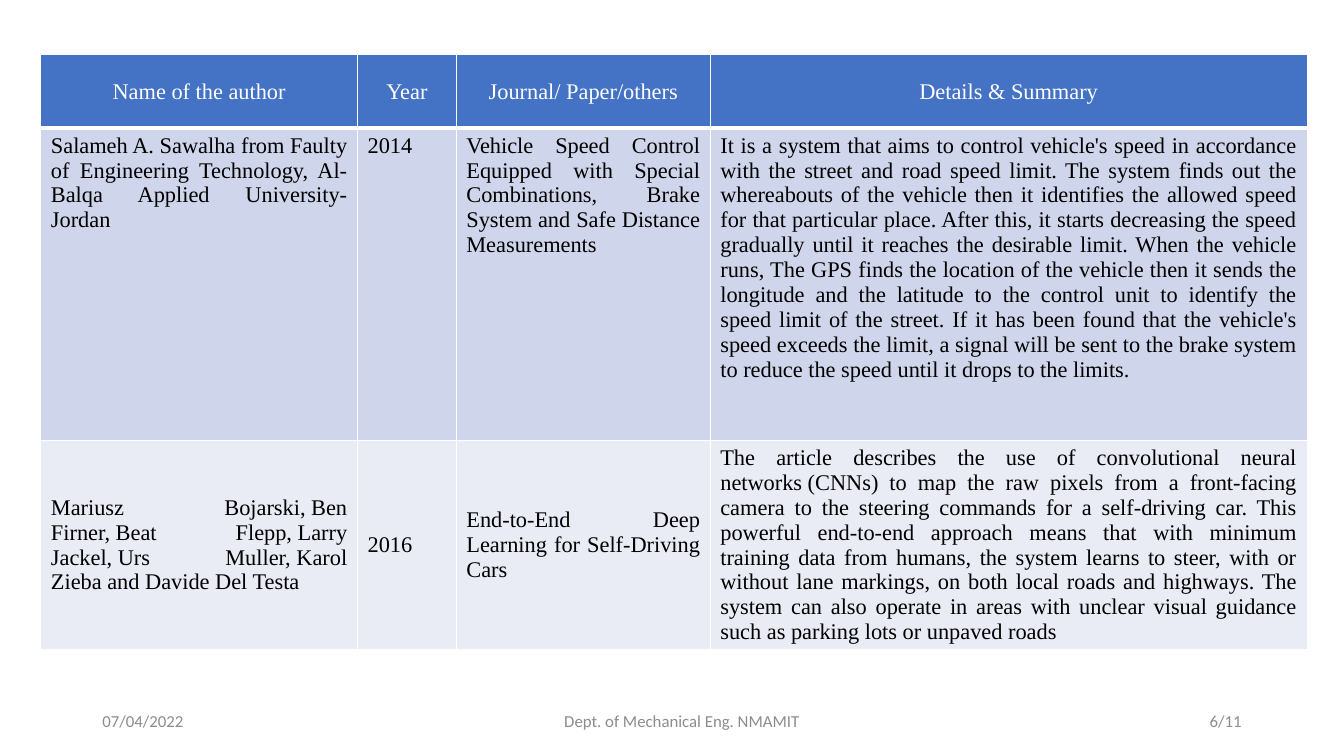
from lxml.etree import SubElement
from pptx import Presentation
from pptx.dml.color import RGBColor
from pptx.enum.text import MSO_ANCHOR, PP_ALIGN
from pptx.oxml.ns import qn
from pptx.util import Cm, Pt

COLORS = {
    "header": "4472C4",
    "band_dark": "CFD5EA",
    "band_light": "E9EBF5",
    "white": "FFFFFF",
    "body": "000000",
    "footer": "8C8C8C",
}

NBSP = chr(160)  # no-break space
COLUMN_WIDTHS = (7.98, 2.49, 6.4, 15.04)
# Height, fill, text colour, alignment, anchor, bottom border in points
ROW_STYLES = (
    (1.85, "header", "white", PP_ALIGN.CENTER, MSO_ANCHOR.MIDDLE, 3),
    (7.87, "band_dark", "body", PP_ALIGN.JUSTIFY, MSO_ANCHOR.TOP, 1),
    (4.27, "band_light", "body", PP_ALIGN.JUSTIFY, MSO_ANCHOR.MIDDLE, 1),
)
LITERATURE = (
    ("Name of the author", "Year", "Journal/ Paper/others", "Details & Summary"),
    (
        "Salameh A. Sawalha from Faulty of Engineering Technology, Al- Balqa "
        "Applied University- Jordan",
        "2014",
        "Vehicle Speed Control Equipped with Special Combinations, Brake System "
        "and Safe Distance Measurements",
        "It is a system that aims to control vehicle's speed in accordance with "
        "the street and road speed limit. The system finds out the whereabouts "
        "of the vehicle then it identifies the allowed speed for that particular "
        "place. After this, it starts decreasing the speed gradually until it "
        "reaches the desirable limit. When the vehicle runs, The GPS finds the "
        "location of the vehicle then it sends the longitude and the latitude to "
        "the control unit to identify the speed limit of the street. If it has "
        "been found that the vehicle's speed exceeds the limit, a signal will be "
        "sent to the brake system to reduce the speed until it drops to the "
        "limits. ",
    ),
    (
        NBSP.join((
            "Mariusz Bojarski,", "Ben Firner,", "Beat Flepp,", "Larry Jackel,",
            "Urs Muller,", "Karol Zieba", "and", "Davide Del Testa",
        )),
        "2016",
        "End-to-End Deep Learning for Self-Driving Cars",
        f"The article describes the use of convolutional neural networks{NBSP}(CNNs) "
        "to map the raw pixels from a front-facing camera to the steering "
        "commands for a self-driving car. This powerful end-to-end approach "
        "means that with minimum training data from humans, the system learns to "
        "steer, with or without lane markings, on both local roads and highways. "
        "The system can also operate in areas with unclear visual guidance such "
        "as parking lots or unpaved roads",
    ),
)


def rgb(name):
    return RGBColor.from_string(COLORS[name])


def write(paragraph, text, font_name, size, color, align):
    paragraph.alignment = align
    run = paragraph.add_run()
    run.text = text
    run.font.name = font_name
    run.font.size = Pt(size)
    run.font.bold = False
    run.font.color.rgb = rgb(color)


def add_borders(cell, top, bottom):
    properties = cell._tc.get_or_add_tcPr()
    for side, width in (("L", 1), ("R", 1), ("T", top), ("B", bottom)):
        border = SubElement(properties, qn(f"a:ln{side}"), w=str(Pt(width)))
        fill = SubElement(border, qn("a:solidFill"))
        SubElement(fill, qn("a:srgbClr"), val=COLORS["white"])


def add_literature_table(slide, left, top):
    width = sum(COLUMN_WIDTHS)
    height = sum(style[0] for style in ROW_STYLES)
    table = slide.shapes.add_table(
        len(LITERATURE), len(COLUMN_WIDTHS), Cm(left), Cm(top), Cm(width), Cm(height)
    ).table
    for column, column_width in zip(table.columns, COLUMN_WIDTHS):
        column.width = Cm(column_width)

    border_above = 1
    for row, entries, style in zip(table.rows, LITERATURE, ROW_STYLES):
        row_height, fill, color, align, anchor, border_below = style
        row.height = Cm(row_height)
        for cell, entry in zip(row.cells, entries):
            # Borders come before the fill in the cell properties
            add_borders(cell, border_above, border_below)
            cell.fill.solid()
            cell.fill.fore_color.rgb = rgb(fill)
            cell.vertical_anchor = anchor
            write(cell.text_frame.paragraphs[0], entry,
                  "Times New Roman", 16, color, align)
        border_above = border_below


def add_footer(slide, top, height):
    for text, left, width, align in (
        ("07/04/2022", 2.33, 7.62, PP_ALIGN.LEFT),
        ("Dept. of Mechanical Eng. NMAMIT", 13.97, 8.36, PP_ALIGN.LEFT),
        ("6/11", 23.92, 7.62, PP_ALIGN.RIGHT),
    ):
        frame = slide.shapes.add_textbox(
            Cm(left), Cm(top), Cm(width), Cm(height)
        ).text_frame
        frame.word_wrap = True
        frame.vertical_anchor = MSO_ANCHOR.MIDDLE
        write(frame.paragraphs[0], text, "Calibri", 12, "footer", align)


def main():
    presentation = Presentation()
    presentation.slide_width = Cm(33.87)
    presentation.slide_height = Cm(19.05)
    # Blank layout: the slide has no title
    slide = presentation.slides.add_slide(presentation.slide_layouts[6])
    add_literature_table(slide, left=1.03, top=1.38)
    add_footer(slide, top=17.65, height=1.01)
    presentation.save("out.pptx")


if __name__ == "__main__":
    main()
